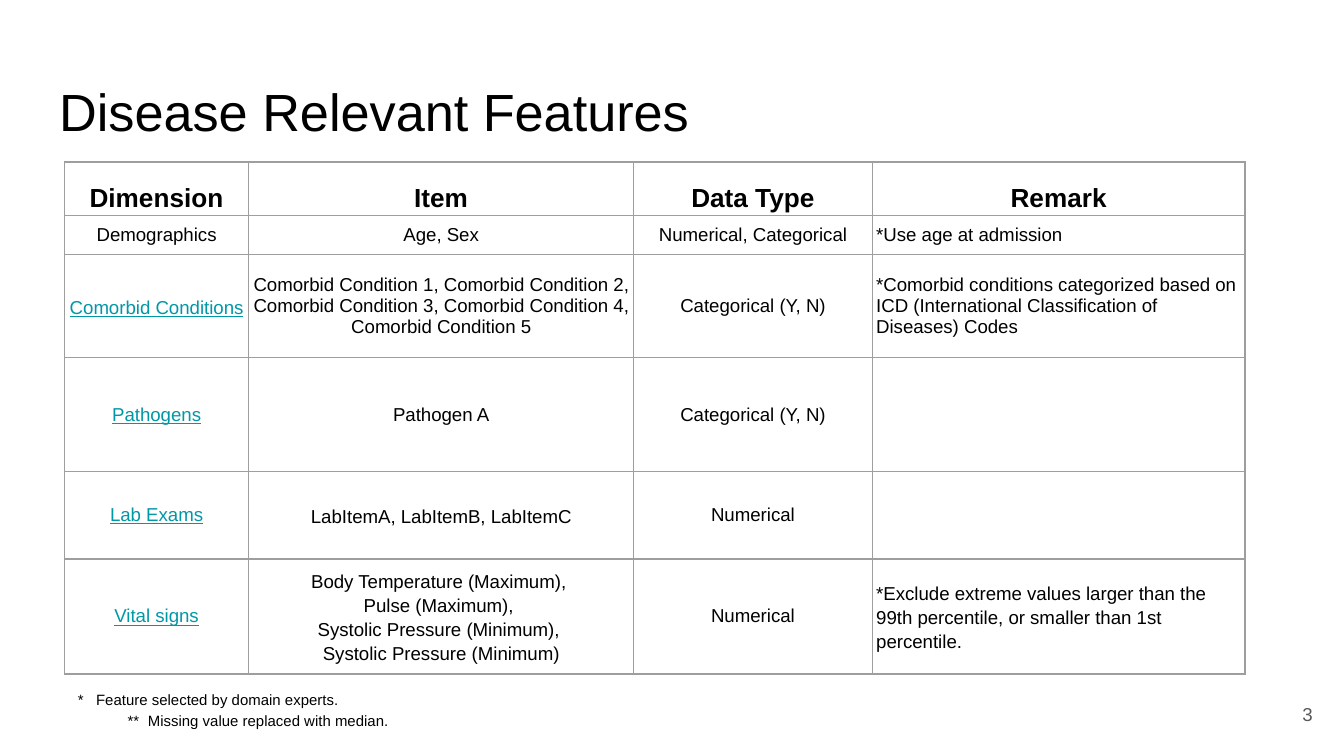
from lxml.etree import SubElement
from pptx import Presentation
from pptx.dml.color import RGBColor
from pptx.enum.text import MSO_ANCHOR, MSO_AUTO_SIZE, PP_ALIGN
from pptx.oxml.ns import qn
from pptx.util import Pt

PX = 4572
FONT = "Arial"
COLORS = {"text": "000000", "link": "0097A7", "border": "9E9E9E", "number": "595959"}

COLUMN_WIDTHS = [274, 573, 355, 555]
ROW_HEIGHTS = [80, 58, 153, 170, 130, 171]
FEATURES = [
    ["Dimension", "Item", "Data Type", "Remark"],
    ["Demographics", "Age, Sex", "Numerical, Categorical", "*Use age at admission"],
    ["Comorbid Conditions",
     "Comorbid Condition 1, Comorbid Condition 2, Comorbid Condition 3, "
     "Comorbid Condition 4, Comorbid Condition 5",
     "Categorical (Y, N)",
     "*Comorbid conditions categorized based on ICD "
     "(International Classification of Diseases) Codes"],
    ["Pathogens", "Pathogen A", "Categorical (Y, N)", ""],
    ["Lab Exams", "LabItemA, LabItemB, LabItemC", "Numerical", ""],
    ["Vital signs",
     "Body Temperature (Maximum), \nPulse (Maximum), \n"
     "Systolic Pressure (Minimum), \nSystolic Pressure (Minimum)",
     "Numerical",
     "*Exclude extreme values larger than the 99th percentile, "
     "or smaller than 1st percentile."],
]
LOOSE_CELLS = {(2, 0), (4, 1), (5, 1), (5, 3)}
FOOTNOTES = [
    ("*\tFeature selected by domain experts.", 27, -27),
    ("**\tMissing value replaced with median.", 104, -30),
]


def place(shape, box):
    shape.left, shape.top, shape.width, shape.height = [n * PX for n in box]


def set_frame(frame, anchor):
    frame.word_wrap = True
    frame.auto_size = MSO_AUTO_SIZE.NONE
    frame.vertical_anchor = anchor
    frame.margin_left = frame.margin_right = 20 * PX
    frame.margin_top = frame.margin_bottom = 20 * PX


def add_run(paragraph, text, size, color="text", bold=False, underline=False):
    run = paragraph.add_run()
    run.text = text
    run.font.name = FONT
    run.font.size = Pt(size)
    run.font.bold = bold
    run.font.underline = underline
    run.font.color.rgb = RGBColor.from_string(COLORS[color])


def add_paragraphs(frame, count):
    return [frame.paragraphs[0]] + [frame.add_paragraph() for _ in range(count - 1)]


def add_borders(cell):
    properties = cell._tc.get_or_add_tcPr()
    for side in ("a:lnL", "a:lnR", "a:lnT", "a:lnB"):
        line = SubElement(properties, qn(side), w=str(Pt(0.75)))
        fill = SubElement(line, qn("a:solidFill"))
        SubElement(fill, qn("a:srgbClr"), val=COLORS["border"])


def fill_cell(cell, row, column, text):
    header = row == 0
    link = column == 0 and row > 1
    cell.margin_left = cell.margin_right = 6 * PX
    cell.margin_top = cell.margin_bottom = 4 * PX
    cell.vertical_anchor = MSO_ANCHOR.BOTTOM if header else MSO_ANCHOR.MIDDLE
    add_borders(cell)
    cell.fill.background()
    if not text:
        return
    lines = text.split("\n")
    for paragraph, line in zip(add_paragraphs(cell.text_frame, len(lines)), lines):
        remark = column == 3 and not header
        paragraph.alignment = PP_ALIGN.LEFT if remark else PP_ALIGN.CENTER
        if header or (row, column) in LOOSE_CELLS:
            paragraph.line_spacing = 1.15
        add_run(paragraph, line, 14 if header else 10,
                "link" if link else "text", header, link)


def build_title(title, box):
    place(title, box)
    set_frame(title.text_frame, MSO_ANCHOR.TOP)
    heading = title.text_frame.paragraphs[0]
    heading.alignment = PP_ALIGN.LEFT
    add_run(heading, "Disease Relevant Features", 28)


def build_features(slide, left, top):
    size = [n * PX for n in (left, top, sum(COLUMN_WIDTHS), sum(ROW_HEIGHTS))]
    table = slide.shapes.add_table(len(ROW_HEIGHTS), len(COLUMN_WIDTHS), *size).table
    table.first_row = table.horz_banding = False
    for column, width in zip(table.columns, COLUMN_WIDTHS):
        column.width = width * PX
    for row, height in zip(table.rows, ROW_HEIGHTS):
        row.height = height * PX
    for row, features in enumerate(FEATURES):
        for column, text in enumerate(features):
            fill_cell(table.cell(row, column), row, column, text)


def build_footnotes(body, box):
    place(body, box)
    frame = body.text_frame
    set_frame(frame, MSO_ANCHOR.TOP)
    for note, (text, margin, indent) in zip(add_paragraphs(frame, len(FOOTNOTES)), FOOTNOTES):
        note.alignment = PP_ALIGN.LEFT
        note.line_spacing = 1.15
        note.space_before = note.space_after = Pt(0)
        properties = note._p.get_or_add_pPr()
        properties.set("marL", str(margin * PX))
        properties.set("indent", str(indent * PX))
        SubElement(properties, qn("a:buNone"))
        add_run(note, text, 8)


def build_page_number(slide, box):
    number = slide.shapes.add_textbox(*[n * PX for n in box])
    set_frame(number.text_frame, MSO_ANCHOR.MIDDLE)
    paragraph = number.text_frame.paragraphs[0]
    paragraph.alignment = PP_ALIGN.RIGHT
    add_run(paragraph, "3", 10, "number")


def main():
    deck = Presentation()
    deck.slide_width, deck.slide_height = 2000 * PX, 1125 * PX
    slide = deck.slides.add_slide(deck.slide_layouts[1])
    build_title(slide.shapes.title, (68, 98, 1864, 126))
    build_features(slide, 96, 241)
    build_footnotes(slide.placeholders[1], (96, 1004, 1110, 121))
    build_page_number(slide, (1853, 1020, 120, 86))
    deck.save("out.pptx")


if __name__ == "__main__":
    main()
